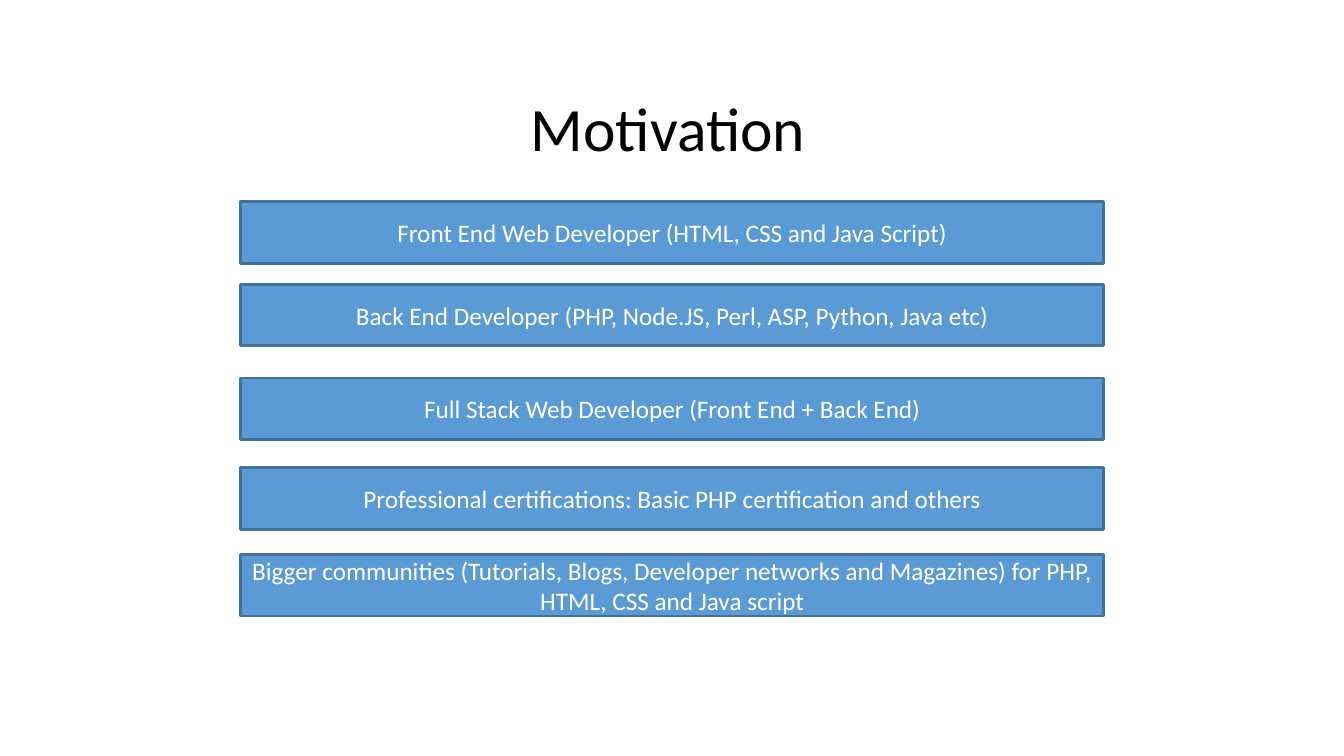
from pptx import Presentation
from pptx.dml.color import RGBColor
from pptx.enum.shapes import MSO_SHAPE as Preset
from pptx.enum.text import MSO_ANCHOR as Anchor, PP_ALIGN as Align
from pptx.util import Pt


def color(hex_code):
    return RGBColor.from_string(hex_code)


def write(shape, text, size, hex_code):
    frame = shape.text_frame
    frame.word_wrap = True
    frame.vertical_anchor = Anchor.MIDDLE
    paragraph = frame.paragraphs[0]
    paragraph.alignment = Align.CENTER
    run = paragraph.add_run()
    run.text = text
    run.font.size = Pt(size)
    run.font.name = "Calibri"
    run.font.color.rgb = color(hex_code)
    return paragraph


deck = Presentation()
deck.slide_width, deck.slide_height = Pt(960), Pt(540)
slide = deck.slides.add_slide(deck.slide_layouts[5])

heading = slide.shapes.title
heading.left, heading.top = Pt(166.3), Pt(64)
heading.width, heading.height = Pt(622), Pt(60)
write(heading, "Motivation", 44, "000000").line_spacing = 0.9

reasons = [
    (144, "Front End Web Developer (HTML, CSS and Java Script)"),
    (203, "Back End Developer (PHP, Node.JS, Perl, ASP, Python, Java etc)"),
    (270, "Full Stack Web Developer (Front End + Back End)"),
    (334, "Professional certifications: Basic PHP certification and others"),
    (396, "Bigger communities (Tutorials, Blogs, Developer networks and "
          "Magazines) for PHP, HTML, CSS and Java script"),
]
for top, reason in reasons:
    bar = slide.shapes.add_shape(
        Preset.RECTANGLE, Pt(172), Pt(top), Pt(616.3), Pt(44))
    bar.shadow.inherit = False
    bar.fill.solid()
    bar.fill.fore_color.rgb = color("5B9BD5")
    bar.line.color.rgb = color("43729D")
    bar.line.width = Pt(2)
    write(bar, reason, 18, "FFFFFF")

deck.save("out.pptx")
